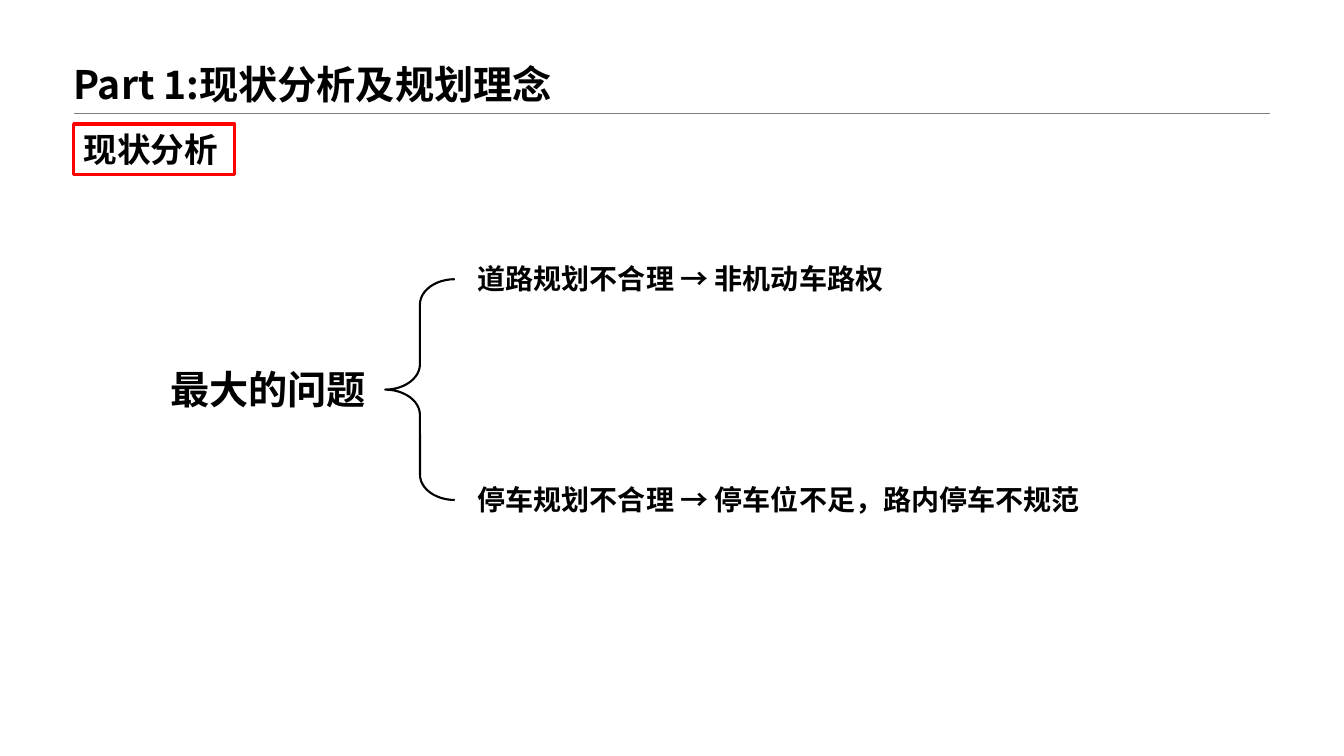
from dataclasses import dataclass

from lxml.etree import SubElement
from pptx import Presentation
from pptx.dml.color import RGBColor
from pptx.enum.shapes import MSO_CONNECTOR, MSO_SHAPE
from pptx.enum.text import MSO_ANCHOR, MSO_AUTO_SIZE, PP_ALIGN
from pptx.oxml.ns import qn
from pptx.shapes.autoshape import Shape
from pptx.slide import Slide
from pptx.util import Inches, Pt


@dataclass(frozen=True)
class Theme:
    font: str = "Noto Sans CJK SC"
    ink: RGBColor = RGBColor(0, 0, 0)
    rule: RGBColor = RGBColor(0x80, 0x80, 0x80)
    accent: RGBColor = RGBColor(0xFF, 0, 0)
    heading_size: int = 28
    section_size: int = 24
    cause_size: int = 20


@dataclass(frozen=True)
class Box:
    left: float
    top: float
    width: float
    height: float

    def lengths(self) -> tuple[Inches, Inches, Inches, Inches]:
        return (Inches(self.left), Inches(self.top),
                Inches(self.width), Inches(self.height))


@dataclass(frozen=True)
class Label:
    text: str
    box: Box
    size: int


THEME = Theme()

TITLE = Label("Part 1:现状分析及规划理念", Box(0.63, 0, 11.87, 1.12), THEME.heading_size)
SECTION = Label("现状分析", Box(0.73, 1.23, 1.6, 0.5), THEME.section_size)
PROBLEM_AND_CAUSES = (
    Label("最大的问题", Box(1.59, 3.58, 2.2, 0.57), THEME.heading_size),
    Label("道路规划不合理 → 非机动车路权", Box(4.64, 2.55, 4.67, 0.44), THEME.cause_size),
    Label("停车规划不合理 → 停车位不足，路内停车不规范", Box(4.64, 4.74, 6.34, 0.44),
          THEME.cause_size),
)
BRACE = Box(3.82, 2.77, 0.69, 2.19)


def write(holder: Shape, label: Label) -> None:
    frame = holder.text_frame
    frame.word_wrap = True
    frame.auto_size = MSO_AUTO_SIZE.SHAPE_TO_FIT_TEXT
    frame.vertical_anchor = MSO_ANCHOR.TOP
    paragraph = frame.paragraphs[0]
    paragraph.alignment = PP_ALIGN.LEFT
    run = paragraph.add_run()
    run.text = label.text
    run.font.size = Pt(label.size)
    run.font.bold = True
    run.font.color.rgb = THEME.ink
    run.font.name = THEME.font
    east_asian = SubElement(run.font._element, qn("a:ea"))
    east_asian.set("typeface", THEME.font)


def add_label(slide: Slide, label: Label) -> Shape:
    holder = slide.shapes.add_textbox(*label.box.lengths())
    write(holder, label)
    return holder


def add_outline(slide: Slide, preset: MSO_SHAPE, box: Box,
                color: RGBColor, weight: float) -> Shape:
    outline = slide.shapes.add_shape(preset, *box.lengths())
    outline.shadow.inherit = False
    outline.fill.background()
    outline.line.color.rgb = color
    outline.line.width = Pt(weight)
    return outline


def add_title_rule(slide: Slide) -> None:
    rule = slide.shapes.add_connector(
        MSO_CONNECTOR.STRAIGHT, Inches(0.73), Inches(1.12), Inches(12.6), Inches(1.12))
    rule.line.color.rgb = THEME.rule
    rule.line.width = Pt(0.25)
    SubElement(rule._element.spPr, qn("a:effectLst"))


def main() -> None:
    deck = Presentation()
    deck.slide_width, deck.slide_height = Inches(13.33), Inches(7.5)
    slide = deck.slides.add_slide(deck.slide_layouts[6])

    add_title_rule(slide)
    for label in PROBLEM_AND_CAUSES:
        add_label(slide, label)

    brace = add_outline(slide, MSO_SHAPE.LEFT_BRACE, BRACE, THEME.ink, 1.5)
    brace.adjustments[0] = 0.365
    brace.adjustments[1] = 0.5

    title = add_label(slide, TITLE).text_frame
    title.auto_size = MSO_AUTO_SIZE.NONE
    title.vertical_anchor = MSO_ANCHOR.BOTTOM
    title.paragraphs[0].line_spacing = 0.9

    section = add_outline(slide, MSO_SHAPE.RECTANGLE, SECTION.box, THEME.accent, 2.25)
    write(section, SECTION)

    deck.save("out.pptx")


if __name__ == "__main__":
    main()
